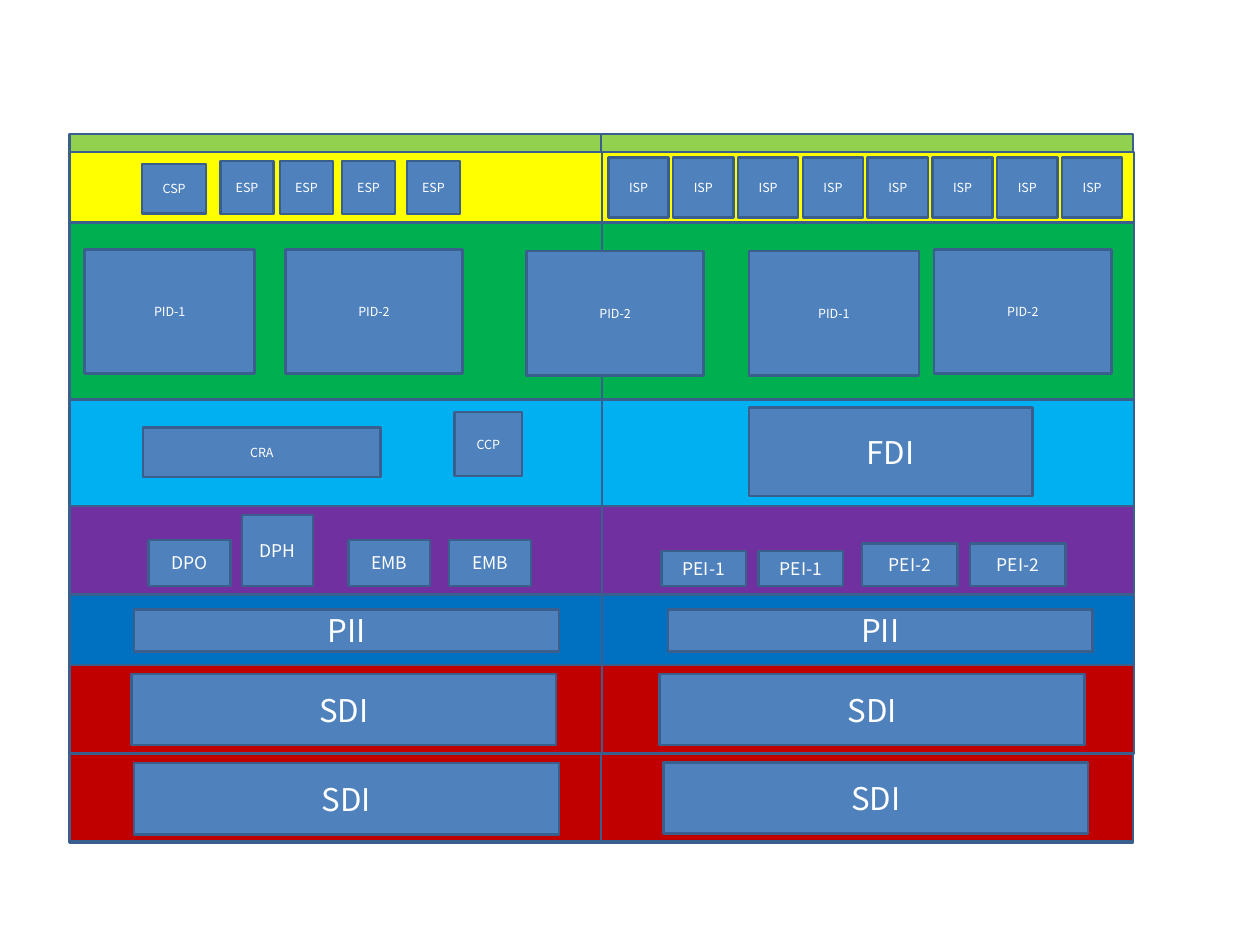
from dataclasses import dataclass

from pptx import Presentation
from pptx.dml.color import RGBColor
from pptx.enum.shapes import MSO_SHAPE
from pptx.enum.text import MSO_ANCHOR, PP_ALIGN
from pptx.util import Inches, Pt

FONT = "Noto Sans CJK KR"
COLORS = {
    "lime": "92D050", "yellow": "FFFF00", "green": "00B050", "sky": "00B0F0",
    "blue": "0070C0", "red": "C00000", "purple": "7030A0",
    "box": "4F81BD", "border": "3A5F8C", "text": "FFFFFF",
}
SMALL, MEDIUM, LARGE = 10, 14, 25


@dataclass
class Band:
    color: str
    top: float
    height: float
    inset: float = 0.01


@dataclass
class BoxRow:
    """Equal boxes with one label, at one height."""
    label: str
    lefts: list[float]
    top: float
    width: float
    height: float
    size: int


# Layers of one column, from back to front
COLUMN_LEFTS = [6.68, 0.77]
COLUMN_WIDTH = 5.91
BANDS = [
    Band("lime", 1.49, 7.87, 0),
    Band("yellow", 1.69, 0.79),
    Band("green", 2.47, 1.97),
    Band("sky", 4.44, 1.18),
    Band("blue", 6.61, 0.79),
    Band("red", 8.37, 0.98, 0),
    Band("red", 7.39, 0.98),
    Band("purple", 5.62, 0.98),
]

# Labelled boxes, from the bottom layer up
BOX_ROWS = [
    BoxRow("SDI", [1.49], 8.48, 4.72, 0.79, LARGE),
    BoxRow("SDI", [7.37], 8.47, 4.72, 0.79, LARGE),
    BoxRow("SDI", [1.46, 7.33], 7.49, 4.72, 0.79, LARGE),
    BoxRow("PII", [1.49, 7.42], 6.77, 4.72, 0.47, LARGE),
    BoxRow("DPO", [1.65], 6, 0.91, 0.51, MEDIUM),
    BoxRow("DPH", [2.69], 5.72, 0.79, 0.79, MEDIUM),
    BoxRow("EMB", [3.87, 4.99], 6, 0.91, 0.51, MEDIUM),
    BoxRow("PEI-1", [7.35, 8.43], 6.12, 0.94, 0.39, MEDIUM),
    BoxRow("PEI-2", [9.58, 10.78], 6.04, 1.06, 0.47, MEDIUM),
    BoxRow("CRA", [1.59], 4.75, 2.64, 0.55, SMALL),
    BoxRow("CCP", [5.05], 4.58, 0.75, 0.71, SMALL),
    BoxRow("FDI", [8.32], 4.53, 3.15, 0.98, LARGE),
    BoxRow("PID-1", [0.94], 2.77, 1.89, 1.38, SMALL),
    BoxRow("PID-2", [3.17, 10.38], 2.77, 1.97, 1.38, SMALL),
    BoxRow("PID-1", [8.32], 2.79, 1.89, 1.38, SMALL),
    BoxRow("PID-2", [5.85], 2.79, 1.97, 1.38, SMALL),
    BoxRow("CSP", [1.58], 1.82, 0.71, 0.55, SMALL),
    BoxRow("ESP", [2.45, 3.11, 3.8, 4.52], 1.79, 0.59, 0.59, SMALL),
    BoxRow("ISP", [6.76 + 0.72 * i for i in range(8)], 1.75, 0.67, 0.67, SMALL),
]


def add_rect(s, left: float, top: float, width: float, height: float, color: str):
    sp = s.shapes.add_shape(MSO_SHAPE.RECTANGLE, Inches(left), Inches(top),
                            Inches(width), Inches(height))
    sp.shadow.inherit = False
    sp.fill.solid()
    sp.fill.fore_color.rgb = RGBColor.from_string(COLORS[color])
    sp.line.color.rgb = RGBColor.from_string(COLORS["border"])
    sp.line.width = Pt(2)
    return sp


def add_column(s, left: float) -> None:
    for band in BANDS:
        add_rect(s, left + band.inset, band.top, COLUMN_WIDTH, band.height, band.color)


def add_box_row(s, row: BoxRow) -> None:
    for left in row.lefts:
        sp = add_rect(s, left, row.top, row.width, row.height, "box")
        tf = sp.text_frame
        tf.word_wrap = True
        tf.vertical_anchor = MSO_ANCHOR.MIDDLE
        p = tf.paragraphs[0]
        p.text = row.label
        p.alignment = PP_ALIGN.CENTER
        p.font.name = FONT
        p.font.size = Pt(row.size)
        p.font.color.rgb = RGBColor.from_string(COLORS["text"])


def main() -> None:
    prs = Presentation()
    prs.slide_width, prs.slide_height = Inches(14), Inches(10.5)
    s = prs.slides.add_slide(prs.slide_layouts[6])
    for left in COLUMN_LEFTS:
        add_column(s, left)
    for row in BOX_ROWS:
        add_box_row(s, row)
    prs.save("out.pptx")


if __name__ == "__main__":
    main()
